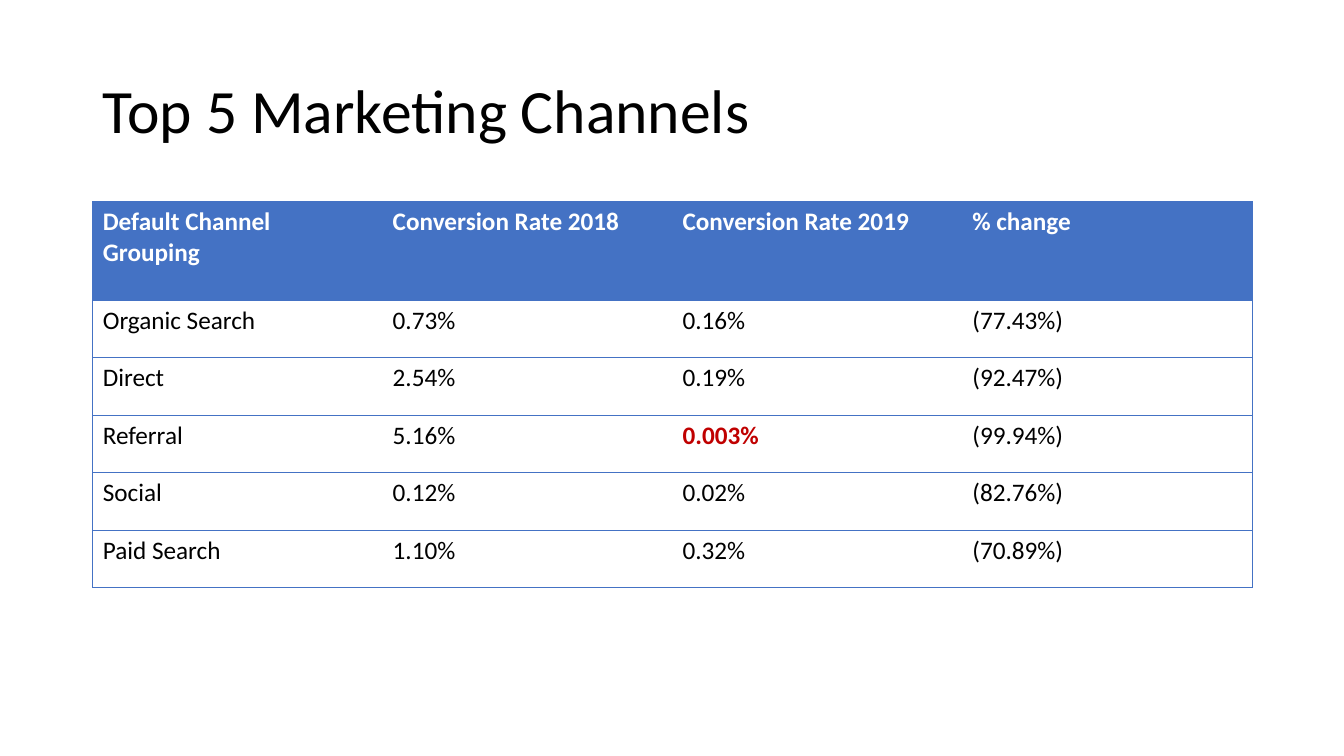
from lxml.etree import SubElement
from pptx import Presentation
from pptx.dml.color import RGBColor
from pptx.enum.text import MSO_ANCHOR, MSO_AUTO_SIZE, PP_ALIGN
from pptx.oxml.ns import qn
from pptx.util import Inches, Pt

COLORS = {"blue": "4472C4", "white": "FFFFFF", "black": "000000", "red": "C00000"}
ROWS = [
    ("Default Channel \vGrouping", "Conversion Rate 2018", "Conversion Rate 2019", "% change"),
    ("Organic Search", "0.73%", "0.16%", "(77.43%)"),
    ("Direct", "2.54%", "0.19%", "(92.47%)"),
    ("Referral", "5.16%", "0.003%", "(99.94%)"),
    ("Social", "0.12%", "0.02%", "(82.76%)"),
    ("Paid Search", "1.10%", "0.32%", "(70.89%)"),
]
HIGHLIGHT = "0.003%"


def format_text(paragraph, size, color, bold=False):
    """Apply one font format to every run of a paragraph."""
    formats = {"name": "Calibri", "size": Pt(size), "bold": bold}
    for run in paragraph.runs:
        for name, value in formats.items():
            setattr(run.font, name, value)
        run.font.color.rgb = RGBColor.from_string(COLORS[color])


def set_borders(cell, visible):
    """Draw the visible sides of a cell in blue and clear the others."""
    properties = cell._tc.get_or_add_tcPr()
    for side in "LRTB":
        line = SubElement(properties, qn(f"a:ln{side}"), w=str(Pt(0.5)))
        if side in visible:
            fill = SubElement(line, qn("a:solidFill"))
            SubElement(fill, qn("a:srgbClr"), val=COLORS["blue"])
        else:
            SubElement(line, qn("a:noFill"))


presentation = Presentation()
presentation.slide_width, presentation.slide_height = Inches(13.33), Inches(7.5)
slide = presentation.slides.add_slide(presentation.slide_layouts[5])

# Title
title = slide.shapes.title
title_box = {"left": 0.92, "top": 0.4, "width": 11.5, "height": 1.45}
for name, value in title_box.items():
    setattr(title, name, Inches(value))
title.text_frame.text = "Top 5 Marketing Channels"
frame_formats = {"vertical_anchor": MSO_ANCHOR.MIDDLE, "auto_size": MSO_AUTO_SIZE.NONE}
for name, value in frame_formats.items():
    setattr(title.text_frame, name, value)
heading = title.text_frame.paragraphs[0]
heading.alignment = PP_ALIGN.LEFT
heading.line_spacing = 0.9
format_text(heading, 44, "black")

# Channel table
column_count = len(ROWS[0])
table = slide.shapes.add_table(
    len(ROWS), column_count, Inches(0.92), Inches(2), Inches(11.5), Inches(3.83)
).table
table.horz_banding = False
for row_index, values in enumerate(ROWS):
    is_header = row_index == 0
    table.rows[row_index].height = Inches(0.98 if is_header else 0.57)
    for column_index, value in enumerate(values):
        cell = table.cell(row_index, column_index)
        cell.text = value
        sides = "TB"
        if column_index == 0:
            sides += "L"
        if column_index == column_count - 1:
            sides += "R"
        set_borders(cell, sides)
        if is_header:
            cell.fill.solid()
            cell.fill.fore_color.rgb = RGBColor.from_string(COLORS["blue"])
            color = "white"
        else:
            cell.fill.background()
            color = "red" if value == HIGHLIGHT else "black"
        format_text(cell.text_frame.paragraphs[0], 18, color, bold=color != "black")

presentation.save("out.pptx")
